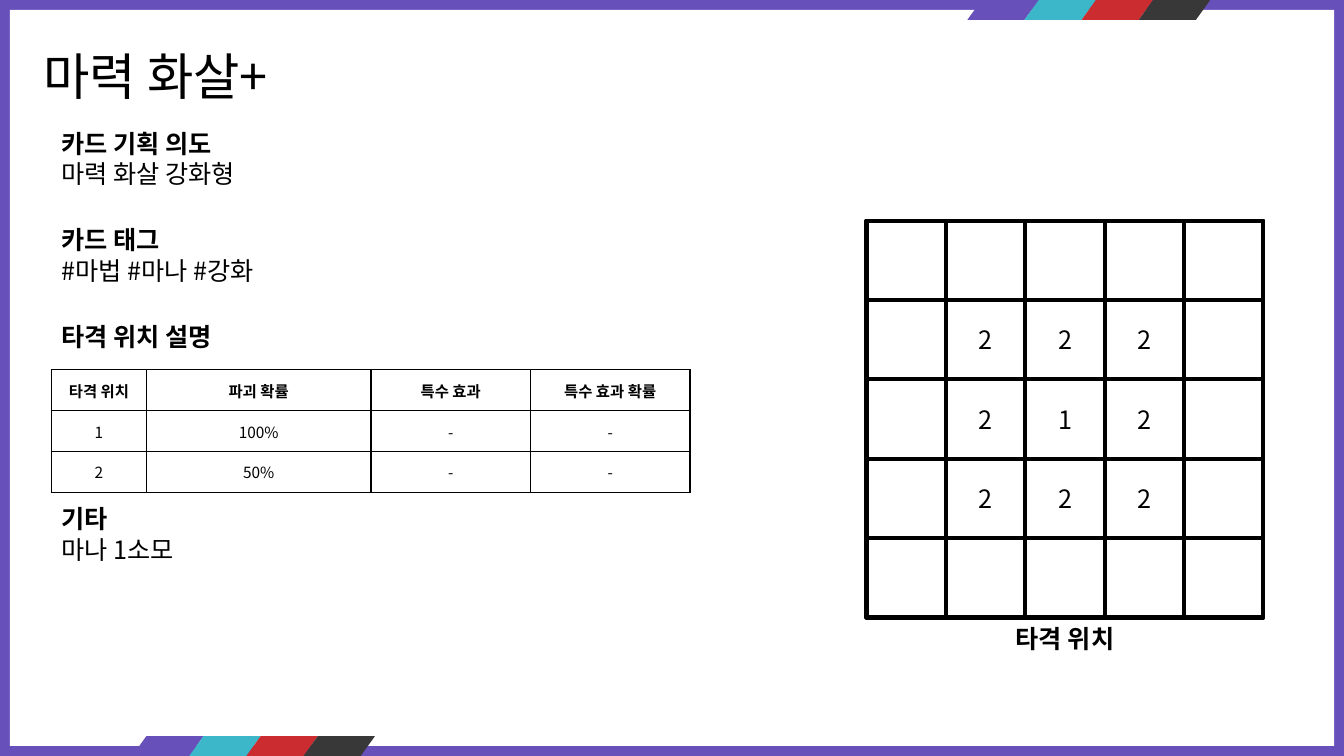
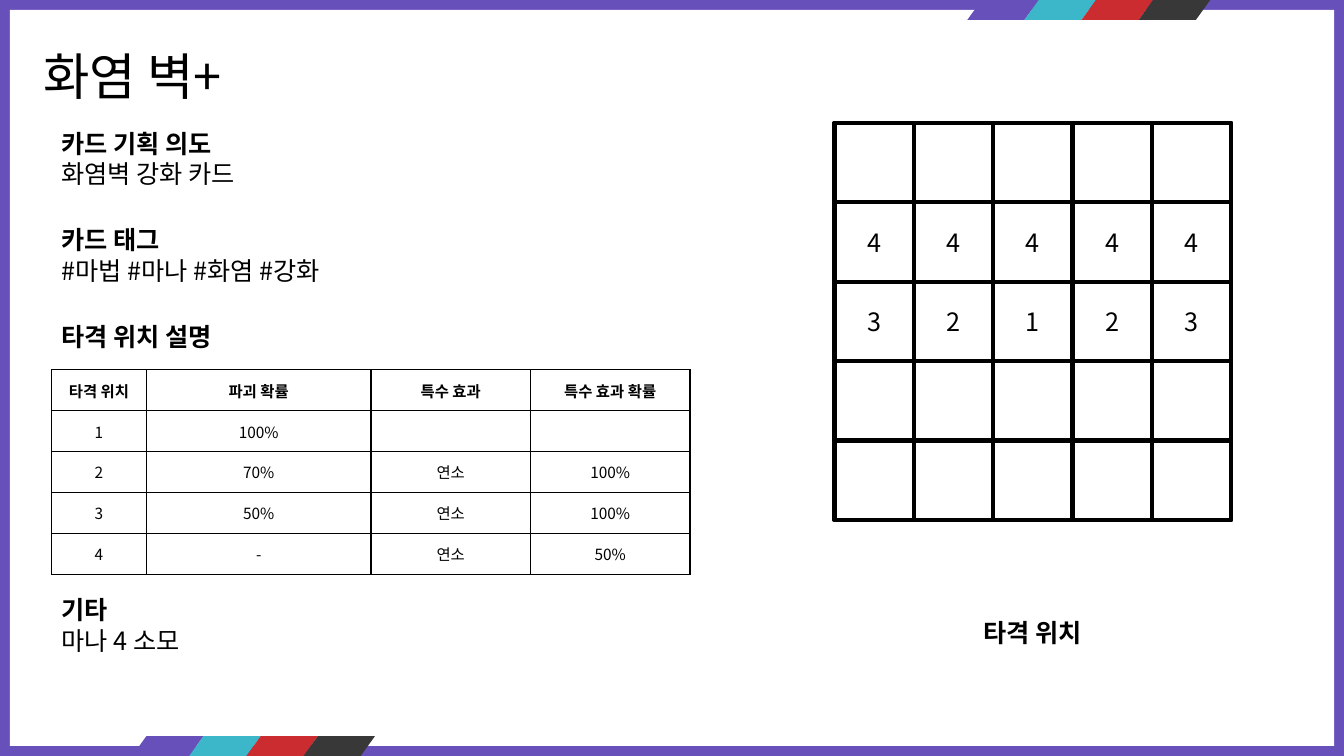
from lxml.etree import SubElement
from pptx import Presentation
from pptx.dml.color import RGBColor
from pptx.enum.shapes import MSO_SHAPE as Preset
from pptx.enum.text import MSO_ANCHOR as Anchor, MSO_AUTO_SIZE as AutoSize, PP_ALIGN as Align
from pptx.oxml.ns import qn
from pptx.util import Cm, Pt

COLORS = {
    "purple": "6750BA",
    "teal": "3BB7C9",
    "red": "CB2C30",
    "charcoal": "383838",
    "white": "FFFFFF",
    "black": "000000",
}
FONT = "Noto Sans CJK KR"
SLIDE_WIDTH, SLIDE_HEIGHT = 33.87, 19.05
FRAME = 0.25
STRIPE_WIDTH, STRIPE_HEIGHT, STRIPE_STEP = 1.8, 0.5, 1.44
BODY_LEFT, BODY_TOP, BODY_WIDTH, BODY_STEP = 1.3, 3.1, 20.1, 2.44
TABLE_TOP, ROW_HEIGHT = 9.32, 1.03
COLUMN_WIDTHS = [2.39, 5.66, 4.02, 4.02]
TABLE_HEADER = ["타격 위치", "파괴 확률", "특수 효과", "특수 효과 확률"]
CELL_SIZE, BOARD_CELLS = 2, 5
CAPTION_WIDTH = 5.18

# Boards are written row by row; a dot is an empty cell
CARDS = [
    {
        "title": "마력 화살+",
        "intent": "마력 화살 강화형",
        "tags": "#마법 #마나 #강화",
        "hits": [["1", "100%", "-", "-"], ["2", "50%", "-", "-"]],
        "other": "마나 1소모",
        "other_top": 12.57,
        "board": [".....", ".222.", ".212.", ".222.", "....."],
        "board_at": (21.84, 5.56),
        "caption_top": 15.57,
    },
    {
        "title": "화염 벽+",
        "intent": "화염벽 강화 카드",
        "tags": "#마법 #마나 #화염 #강화",
        "hits": [
            ["1", "100%", "", ""],
            ["2", "70%", "연소", "100%"],
            ["3", "50%", "연소", "100%"],
            ["4", "-", "연소", "50%"],
        ],
        "other": "마나 4 소모",
        "other_top": 14.86,
        "board": [".....", "44444", "32123", ".....", "....."],
        "board_at": (21.03, 3.1),
        "caption_top": 15.44,
    },
]


def rgb(name):
    return RGBColor.from_string(COLORS[name])


def format_paragraph(paragraph, size, bold=False, align=Align.LEFT):
    paragraph.alignment = align
    for run in paragraph.runs:
        font = run.font
        font.size, font.bold, font.name = Pt(size), bold, FONT
        font.color.rgb = rgb("black")
        east_asian = SubElement(font._element, qn("a:ea"))
        east_asian.set("typeface", FONT)


def add_box(slide, preset, left, top, width, height, fill, outlined=False):
    shape = slide.shapes.add_shape(preset, Cm(left), Cm(top), Cm(width), Cm(height))
    shape.shadow.inherit = False
    shape.fill.solid()
    shape.fill.fore_color.rgb = rgb(fill)
    if outlined:
        shape.line.color.rgb = rgb("black")
        shape.line.width = Pt(3)
    else:
        shape.line.fill.background()
    return shape


def add_text(slide, left, top, width, height, text, size=18, bold=False, align=Align.LEFT):
    """Place a text box; only its first paragraph can be bold."""
    box = slide.shapes.add_textbox(Cm(left), Cm(top), Cm(width), Cm(height))
    frame = box.text_frame
    frame.word_wrap = True
    frame.auto_size = AutoSize.SHAPE_TO_FIT_TEXT
    frame.text = text
    for index, paragraph in enumerate(frame.paragraphs):
        format_paragraph(paragraph, size, bold and index == 0, align)


def add_stripes(slide, left, top):
    for index, color in enumerate(["purple", "teal", "red", "charcoal"]):
        add_box(slide, Preset.FLOWCHART_DATA, left + index * STRIPE_STEP, top,
                STRIPE_WIDTH, STRIPE_HEIGHT, color)


def add_frame(slide):
    slide.background.fill.solid()
    slide.background.fill.fore_color.rgb = rgb("purple")
    add_box(slide, Preset.RECTANGLE, FRAME, FRAME,
            SLIDE_WIDTH - 2 * FRAME, SLIDE_HEIGHT - 2 * FRAME, "white")
    add_stripes(slide, 24.38, 0)
    add_stripes(slide, 3.33, SLIDE_HEIGHT - STRIPE_HEIGHT)


def add_section(slide, top, heading, body=None):
    lines = [heading, body] if body else [heading]
    add_text(slide, BODY_LEFT, top, BODY_WIDTH, 1.8 if body else 1.03,
             "\n".join(lines), bold=True)


def add_borders(cell):
    properties = cell._tc.get_or_add_tcPr()
    for index, side in enumerate(["lnL", "lnR", "lnT", "lnB"]):
        line = properties.makeelement(qn(f"a:{side}"), {"w": str(Pt(1))})
        fill = SubElement(line, qn("a:solidFill"))
        SubElement(fill, qn("a:srgbClr")).set("val", COLORS["black"])
        properties.insert(index, line)


def add_hit_table(slide, left, top, hits):
    rows = [TABLE_HEADER, *hits]
    table = slide.shapes.add_table(
        len(rows), len(COLUMN_WIDTHS), Cm(left), Cm(top),
        Cm(sum(COLUMN_WIDTHS)), Cm(ROW_HEIGHT * len(rows))).table
    table.first_row = table.horz_banding = False
    for column, width in zip(table.columns, COLUMN_WIDTHS):
        column.width = Cm(width)
    for row_index, values in enumerate(rows):
        table.rows[row_index].height = Cm(ROW_HEIGHT)
        for column_index, value in enumerate(values):
            cell = table.cell(row_index, column_index)
            cell.margin_left = cell.margin_right = 0
            cell.margin_top = cell.margin_bottom = 0
            cell.vertical_anchor = Anchor.MIDDLE
            cell.fill.solid()
            cell.fill.fore_color.rgb = rgb("white")
            add_borders(cell)
            cell.text = value
            format_paragraph(cell.text_frame.paragraphs[0], 11, row_index == 0, Align.CENTER)


def add_board(slide, left, top, rows, caption_top):
    side = CELL_SIZE * BOARD_CELLS
    add_box(slide, Preset.RECTANGLE, left, top, side, side, "white", outlined=True)
    for row_index, row in enumerate(rows):
        for column_index, mark in enumerate(row):
            square = add_box(slide, Preset.RECTANGLE, left + column_index * CELL_SIZE,
                             top + row_index * CELL_SIZE, CELL_SIZE, CELL_SIZE,
                             "white", outlined=True)
            if mark != ".":
                frame = square.text_frame
                frame.text = mark
                frame.vertical_anchor = Anchor.MIDDLE
                format_paragraph(frame.paragraphs[0], 18, align=Align.CENTER)
    # Caption centred under the board
    add_text(slide, left + (side - CAPTION_WIDTH) / 2, caption_top, CAPTION_WIDTH, 1.03,
             "타격 위치", bold=True, align=Align.CENTER)


def add_card_slide(presentation, card):
    slide = presentation.slides.add_slide(presentation.slide_layouts[6])
    add_frame(slide)
    add_text(slide, 0.84, 1.02, 16.33, 1.8, card["title"], size=36)

    # Card description
    sections = [("카드 기획 의도", card["intent"]), ("카드 태그", card["tags"]),
                ("타격 위치 설명", None)]
    for index, (heading, body) in enumerate(sections):
        add_section(slide, BODY_TOP + index * BODY_STEP, heading, body)
    add_hit_table(slide, BODY_LEFT, TABLE_TOP, card["hits"])
    add_section(slide, card["other_top"], "기타", card["other"])

    # Target board
    add_board(slide, *card["board_at"], card["board"], card["caption_top"])


def main():
    presentation = Presentation()
    presentation.slide_width = Cm(SLIDE_WIDTH)
    presentation.slide_height = Cm(SLIDE_HEIGHT)
    for card in CARDS:
        add_card_slide(presentation, card)
    presentation.save("out.pptx")


if __name__ == "__main__":
    main()
